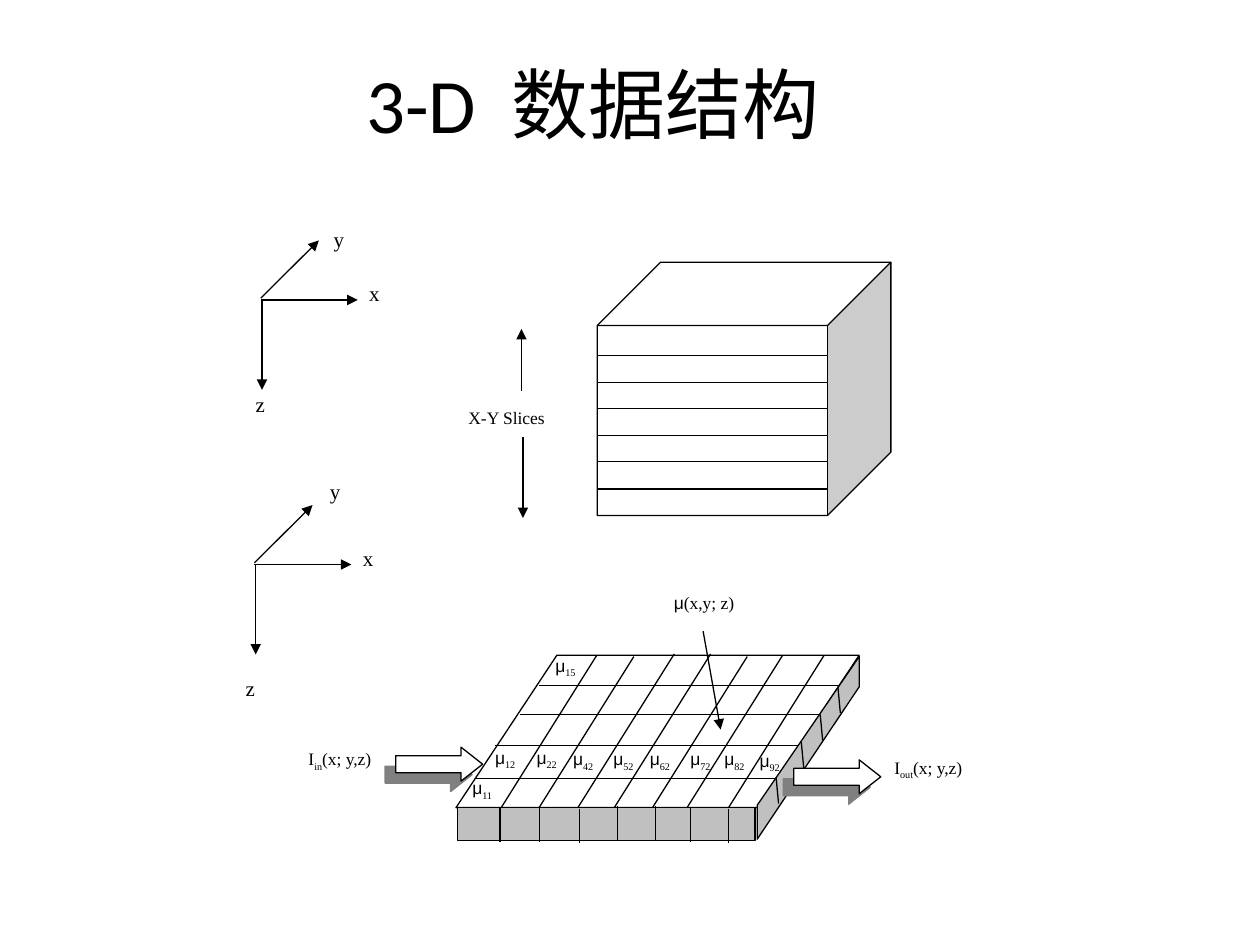
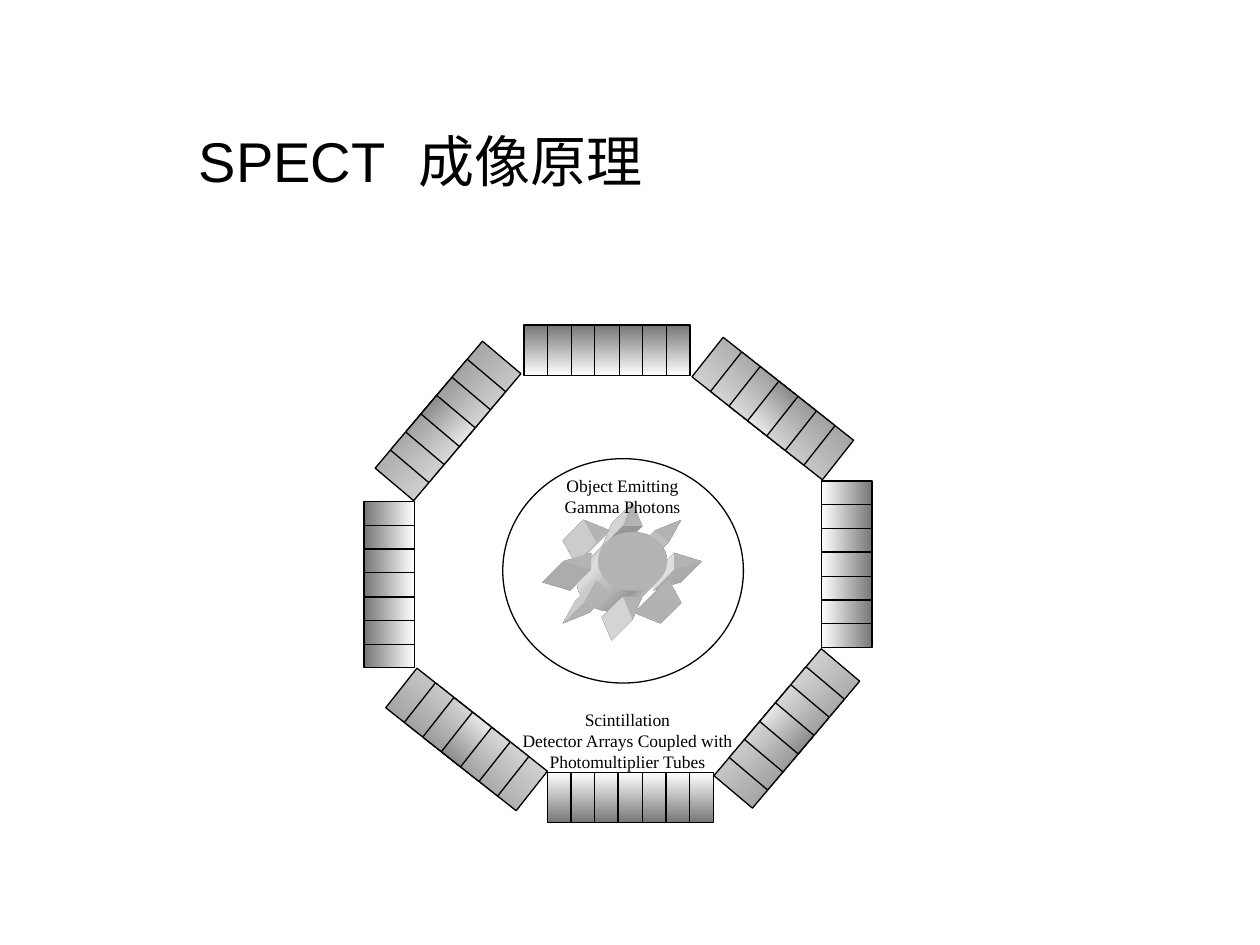
from lxml import etree
from pptx import Presentation
from pptx import util as u
from pptx.dml.color import RGBColor
from pptx.enum import shapes, text
from pptx.oxml.ns import qn

BLACK = RGBColor(0x00, 0x00, 0x00)
WHITE = RGBColor(0xFF, 0xFF, 0xFF)
SILVER = RGBColor(0xC0, 0xC0, 0xC0)
DARK = RGBColor(0x76, 0x76, 0x76)

SERIF, SANS, CJK = "Times New Roman", "Arial", "Noto Sans CJK SC"
SHAPE = shapes.MSO_SHAPE


class Deck:
    """Holds the drawing style and the slide being filled."""

    line_width = 0.75
    label_size = 10

    def __init__(self):
        self.presentation = Presentation()
        self.presentation.slide_width = u.Pt(720)
        self.presentation.slide_height = u.Pt(540)
        self.slide = None

    def new_slide(self):
        layout = self.presentation.slide_layouts[6]
        self.slide = self.presentation.slides.add_slide(layout)

    def outline(self, line):
        line.color.rgb = BLACK
        line.width = u.Pt(self.line_width)

    def run(self, paragraph, content, size, font, baseline=0, spacing=0):
        run = paragraph.add_run()
        run.text = content
        run.font.size = u.Pt(size)
        run.font.name = font
        run.font.color.rgb = BLACK
        properties = run._r.get_or_add_rPr()
        if baseline:
            properties.set("baseline", str(baseline * 1000))
        if spacing:
            properties.set("spc", str(spacing * 100))
        if font == CJK:
            east_asian = etree.SubElement(properties, qn("a:ea"))
            east_asian.set("typeface", font)

    def box(self, left, top, width, height):
        frame = self.slide.shapes.add_textbox(
            u.Pt(left), u.Pt(top), u.Pt(width), u.Pt(height)).text_frame
        frame.word_wrap = True
        return frame

    def title(self, latin, chinese, size, font, left, top, width, height):
        frame = self.box(left, top, width, height)
        frame.vertical_anchor = text.MSO_ANCHOR.MIDDLE
        paragraph = frame.paragraphs[0]
        paragraph.line_spacing = 0.9
        self.run(paragraph, latin, size, font)
        self.run(paragraph, " ", size, font, spacing=10)
        self.run(paragraph, chinese, size, CJK)

    def label(self, left, top, width, height, *runs, size=label_size):
        """Write one line; each run is (text, font, baseline percent)."""
        paragraph = self.box(left, top, width, height).paragraphs[0]
        for content, font, baseline in runs:
            self.run(paragraph, content, size, font, baseline)

    def caption(self, left, top, width, height, lines):
        frame = self.box(left, top, width, height)
        frame.text = "\n".join(lines)
        for paragraph in frame.paragraphs:
            paragraph.alignment = text.PP_ALIGN.CENTER
            font = paragraph.runs[0].font
            font.size, font.name = u.Pt(self.label_size), SERIF
            font.color.rgb = BLACK

    def shape(self, kind, left, top, width, height, fill=None, adjust=(),
              outlined=True):
        shape = self.slide.shapes.add_shape(
            kind, u.Pt(left), u.Pt(top), u.Pt(width), u.Pt(height))
        for index, value in enumerate(adjust):
            shape.adjustments[index] = value
        return self.style(shape, fill, outlined)

    def style(self, shape, fill, outlined=True):
        shape.shadow.inherit = False
        if fill is None:
            shape.fill.background()
        else:
            shape.fill.solid()
            shape.fill.fore_color.rgb = fill
        if outlined:
            self.outline(shape.line)
        else:
            shape.line.fill.background()
        return shape

    def outline_shape(self, points, fill):
        points = [(u.Pt(x), u.Pt(y)) for x, y in points]
        builder = self.slide.shapes.build_freeform(*points[0], scale=1.0)
        builder.add_line_segments(points[1:], close=True)
        return self.style(builder.convert_to_shape(), fill)

    def line(self, x1, y1, x2, y2, arrow=False):
        connector = self.slide.shapes.add_connector(
            shapes.MSO_CONNECTOR.STRAIGHT,
            u.Pt(x1), u.Pt(y1), u.Pt(x2), u.Pt(y2))
        self.outline(connector.line)
        properties = connector._element.spPr
        etree.SubElement(properties, qn("a:effectLst"))
        if arrow:
            head = etree.SubElement(properties.find(qn("a:ln")), qn("a:tailEnd"))
            head.set("type", "triangle")

    def block_arrow(self, left, top):
        shape = self.shape(SHAPE.RIGHT_ARROW, left, top, 49.7, 19.4, WHITE,
                           (0.5, 0.635))
        effects = shape._element.spPr.find(qn("a:effectLst"))
        shadow = etree.SubElement(
            effects, qn("a:outerShdw"), dist=str(u.Pt(8.5)), dir="8100000",
            algn="ctr", rotWithShape="0")
        etree.SubElement(shadow, qn("a:srgbClr"), val="808080")

    def detector_bank(self, center_x, center_y, rotation, angle, colors):
        """Nest four bars on one centre so that seven cells show."""
        for step in range(4):
            width, height = 95 - 27 * step, 28.8
            bar = self.shape(SHAPE.RECTANGLE, center_x - width / 2,
                             center_y - height / 2, width, height)
            bar.rotation = rotation
            bar.fill.gradient()
            bar.fill.gradient_angle = 360 - angle
            for stop, color in zip(bar.fill.gradient_stops, colors):
                stop.color.rgb = color
            gradient = bar._element.spPr.find(qn("a:gradFill"))
            gradient.set("rotWithShape", "0")

    def extruded_sun(self, left, top, width, height):
        sun = self.shape(SHAPE.SUN, left, top, width, height, WHITE, (0.25,),
                         outlined=False)
        properties = sun._element.spPr
        scene = etree.SubElement(properties, qn("a:scene3d"))
        etree.SubElement(scene, qn("a:camera"), prst="legacyObliqueBottomLeft")
        etree.SubElement(scene, qn("a:lightRig"), rig="legacyFlat3", dir="t")
        solid = etree.SubElement(properties, qn("a:sp3d"), extrusionH="430200",
                                 prstMaterial="legacyMatte")
        color = etree.SubElement(solid, qn("a:extrusionClr"))
        etree.SubElement(color, qn("a:srgbClr"), val=str(WHITE))

    def axes(self, x, y, y_label, z_label):
        self.line(x, y, x + 55.4, y, arrow=True)
        self.line(x, y - 1, x + 33.2, y - 34, arrow=True)
        self.line(x + 0.7, y, x + 0.7, y + 51.4, arrow=True)
        names = {"x": (x + 54.8, y - 14.4), "y": y_label, "z": z_label}
        for name, (left, top) in names.items():
            self.label(left, top, 24, 29.5, (name, SERIF, 0), size=12)


def draw_slice_stack(deck):
    deck.shape(SHAPE.CUBE, 341.3, 149.8, 167.8, 144.7, WHITE, (0.25,))
    for index in range(3):
        deck.shape(SHAPE.RECTANGLE, 341.3, 203 + 30.3 * index, 131.8, 15.8,
                   WHITE)
    deck.label(260.6, 229, 72, 28, ("X-Y Slices", SERIF, 0))
    deck.line(298, 223.2, 298, 188, arrow=True)
    deck.line(298.8, 249.8, 298.8, 296, arrow=True)


def draw_voxel_slab(deck):
    # Grid on the top face
    for left, right, y in [(308.2, 482.4, 391.7), (297.4, 472.3, 408.2),
                           (283, 457.9, 426.2), (272.2, 446.4, 445)]:
        deck.line(left, y, right, y)
    for x, y in [(285.5, 463), (306.7, 463.7), (329.8, 462.2), (350.6, 462.2),
                 (371.5, 463.7), (391.7, 463), (415.4, 463)]:
        deck.line(x, y, x + 55.5, y - 88.5)
    deck.shape(SHAPE.PARALLELOGRAM, 260.6, 374.4, 230.4, 87.1, None, (0.662,))

    # Front and right faces with their cell edges
    deck.shape(SHAPE.RECTANGLE, 261.4, 461.5, 170, 18.7, SILVER)
    deck.outline_shape([(491, 375.1), (491, 392.4), (432.7, 479.5),
                        (432.7, 460.1)], SILVER)
    for x, y in [(285.8, 461.5), (308.2, 461.5), (331.2, 462.2),
                 (352.8, 460.8), (374.4, 460.8), (394.6, 461.5),
                 (416.2, 462.2)]:
        deck.line(x, y, x, y + 19.4)
    for x, y in [(478.8, 392.4), (468.7, 408.2), (457.9, 424.1),
                 (443.5, 444.2)]:
        deck.line(x, y, x + 1.4, y + 15)


def draw_beam_labels(deck):
    for index, left, top in [("in", 169.2, 424.1), ("out", 504, 429.1)]:
        deck.label(left, top, 72, 24.5, ("I", SERIF, 0), (index, SERIF, -25),
                   ("(x; y,z)", SERIF, 0))
    deck.block_arrow(226.1, 427)
    deck.block_arrow(453.6, 434.2)

    deck.label(378, 334.8, 72, 24.5, ("μ", SANS, 0), ("(x,y; z)", SERIF, 0))
    for index, left, top in [
            ("11", 262.8, 440.6), ("15", 310.3, 370.8), ("12", 275.8, 423.4),
            ("22", 299.5, 423.4), ("42", 320.4, 424), ("52", 343.4, 424),
            ("62", 364.3, 424), ("72", 387.4, 424), ("82", 406.8, 424),
            ("92", 427, 424.8)]:
        deck.label(left, top, 34, 24.5, ("μ", SANS, 0), (index, SERIF, -25))
    deck.line(401.8, 360.7, 411.8, 416.9, arrow=True)


def build_data_structure(deck):
    deck.new_slide()
    deck.title("3-D", "数据结构", 44, "Calibri", 202.3, 28, 362.2, 67.7)
    draw_slice_stack(deck)
    deck.axes(149, 171.4, (183.6, 126), (139, 220.3))
    draw_voxel_slab(deck)
    deck.axes(145.4, 322.6, (181.4, 270), (133.2, 382.3))
    draw_beam_labels(deck)


def build_spect(deck):
    deck.new_slide()
    deck.title("SPECT", "成像原理", 32, SANS, 106.6, 49, 613.4, 90)

    # Emitting object
    deck.shape(SHAPE.OVAL, 287.3, 262.1, 137.5, 128.2, WHITE)
    deck.extruded_sun(321.8, 287.3, 79.2, 67)

    # Ring of detector banks
    dark_first, light_first = (DARK, WHITE), (WHITE, DARK)
    for bank in [(222.5, 334.1, 270, 0, dark_first),
                 (441.6, 233.5, 38.3, 315, light_first),
                 (360.2, 455.8, 0, 90, light_first),
                 (484, 322.4, 270, 0, light_first),
                 (346.9, 200.2, 0, 90, dark_first),
                 (266.6, 422.6, 38.3, 315, dark_first),
                 (256, 240.5, 130.2, 45, dark_first),
                 (449.6, 416.2, 130.2, 45, light_first)]:
        deck.detector_bank(*bank)

    # Captions
    deck.caption(303.1, 267.8, 105.1, 38.9,
                 ["Object Emitting", "Gamma Photons"])
    deck.caption(282.2, 401.8, 152.6, 43.9,
                 ["Scintillation", "Detector Arrays Coupled with",
                  "Photomultiplier Tubes"])


def main():
    deck = Deck()
    build_data_structure(deck)
    build_spect(deck)
    deck.presentation.save("out.pptx")


if __name__ == "__main__":
    main()
